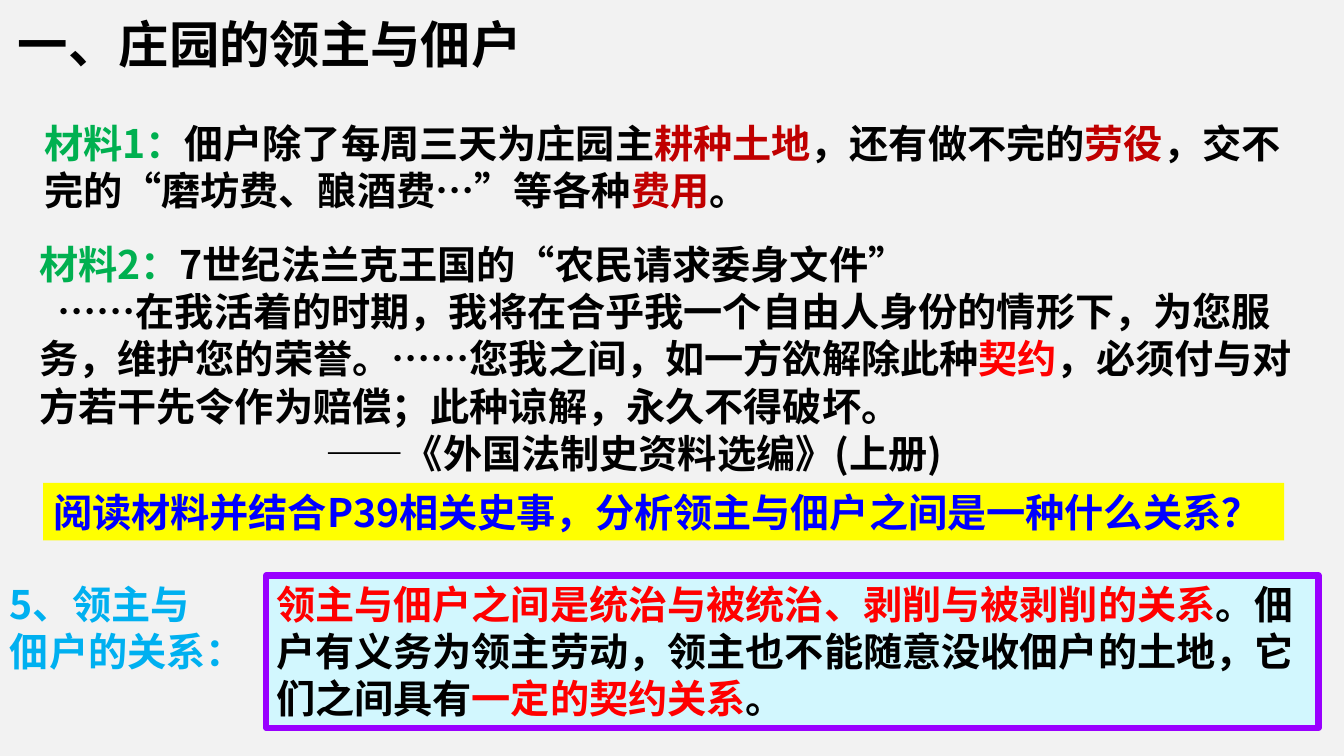
import lxml.etree
import pptx
import pptx.dml.color
import pptx.enum.shapes
import pptx.enum.text
import pptx.oxml.ns
import pptx.util
from dataclasses import dataclass
from pptx.util import Cm


@dataclass(frozen=True)
class Theme:
    font: str = "Noto Sans CJK SC"
    heading: int = 36
    body: int = 28
    border: float = 4.5
    page: str = "F2F2F2"
    black: str = "000000"
    green: str = "00B050"
    crimson: str = "C00000"
    red: str = "FF0000"
    blue: str = "0000FF"
    sky: str = "00B0F0"
    yellow: str = "FFFF00"
    ice: str = "D2F7FE"
    violet: str = "9900FF"


theme = Theme()

QUESTION = [[("阅读材料并结合P39相关史事，分析领主与佃户之间是一种什么关系？", theme.blue)]]
MATERIAL_ONE = [[
    ("材料1：", theme.green),
    ("佃户除了每周三天为庄园主", theme.black),
    ("耕种土地", theme.crimson),
    ("，还有做不完的", theme.black),
    ("劳役", theme.crimson),
    ("，交不完的“磨坊费、酿酒费…”等各种", theme.black),
    ("费用", theme.crimson),
    ("。", theme.black),
]]
MATERIAL_TWO = [
    [("材料2：", theme.green), ("7世纪法兰克王国的“农民请求委身文件”", theme.black)],
    [
        ("……在我活着的时期，我将在合乎我一个自由人身份的情形下，为您服务，维护您的荣誉。……您我之间，如一方欲解除此种", theme.black),
        ("契约", theme.red),
        ("，必须付与对方若干先令作为赔偿；此种谅解，永久不得破坏。", theme.black),
    ],
    [("——《外国法制史资料选编》(上册)", theme.black)],
]
ANSWER = [[
    ("领主与佃户之间是统治与被统治、剥削与被剥削的关系", theme.red),
    ("。佃户有义务为领主劳动，领主也不能随意没收佃户的土地，它们之间具有", theme.black),
    ("一定的契约关系", theme.red),
    ("。", theme.black),
]]
HEADING = [[("一、庄园的领主与佃户", theme.black)]]
ANSWER_LABEL = [[("5、领主与佃户的关系：", theme.sky)]]

MATERIAL_TWO_INDENTS = {1: (0, 0.46), 2: (7.22, 0)}

BLOCKS = [
    dict(place=(1.09, 12.17, 31.27, 1.45), paras=QUESTION, fill=theme.yellow),
    dict(place=(0.86, 2.87, 32.16, 2.64), paras=MATERIAL_ONE),
    dict(place=(0.74, 5.94, 32.49, 6.25), paras=MATERIAL_TWO, indents=MATERIAL_TWO_INDENTS),
    dict(place=(6.71, 14.5, 26.52, 3.84), paras=ANSWER, fill=theme.ice, line=theme.violet),
    dict(place=(0.2, 0.2, 13.26, 1.8), paras=HEADING, size=theme.heading, wrap=False),
    dict(place=(0, 14.5, 5.64, 2.64), paras=ANSWER_LABEL),
]


def colour(value):
    return pptx.dml.color.RGBColor.from_string(value)


def add_run(para, text, tint, size):
    span = para.add_run()
    span.text = text
    span.font.size = pptx.util.Pt(size)
    span.font.bold = True
    span.font.color.rgb = colour(tint)
    span.font.name = theme.font
    east_asian = lxml.etree.SubElement(span.font._element, pptx.oxml.ns.qn("a:ea"))
    east_asian.set("typeface", theme.font)


def add_block(page, place, paras, fill=None, line=None, size=theme.body, wrap=True, indents=None):
    position = [Cm(length) for length in place]
    if fill:
        box = page.shapes.add_shape(pptx.enum.shapes.MSO_SHAPE.RECTANGLE, *position)
        box.shadow.inherit = False
        box.fill.solid()
        box.fill.fore_color.rgb = colour(fill)
        if line:
            box.line.color.rgb = colour(line)
            box.line.width = pptx.util.Pt(theme.border)
        else:
            box.line.fill.background()
    else:
        box = page.shapes.add_textbox(*position)
    frame = box.text_frame
    frame.word_wrap = wrap
    frame.auto_size = pptx.enum.text.MSO_AUTO_SIZE.SHAPE_TO_FIT_TEXT
    frame.vertical_anchor = pptx.enum.text.MSO_ANCHOR.TOP
    for index, runs in enumerate(paras):
        para = frame.paragraphs[0] if index == 0 else frame.add_paragraph()
        para.alignment = pptx.enum.text.PP_ALIGN.LEFT
        if indents and index in indents:
            margin, first_line = indents[index]
            properties = para._p.get_or_add_pPr()
            properties.set("marL", str(Cm(margin)))
            properties.set("indent", str(Cm(first_line)))
        for text, tint in runs:
            add_run(para, text, tint, size)


def main():
    deck = pptx.Presentation()
    deck.slide_width = Cm(33.87)
    deck.slide_height = Cm(19.05)
    page = deck.slides.add_slide(deck.slide_layouts[6])
    page.background.fill.solid()
    page.background.fill.fore_color.rgb = colour(theme.page)
    for block in BLOCKS:
        add_block(page, **block)
    deck.save("out.pptx")


if __name__ == "__main__":
    main()
